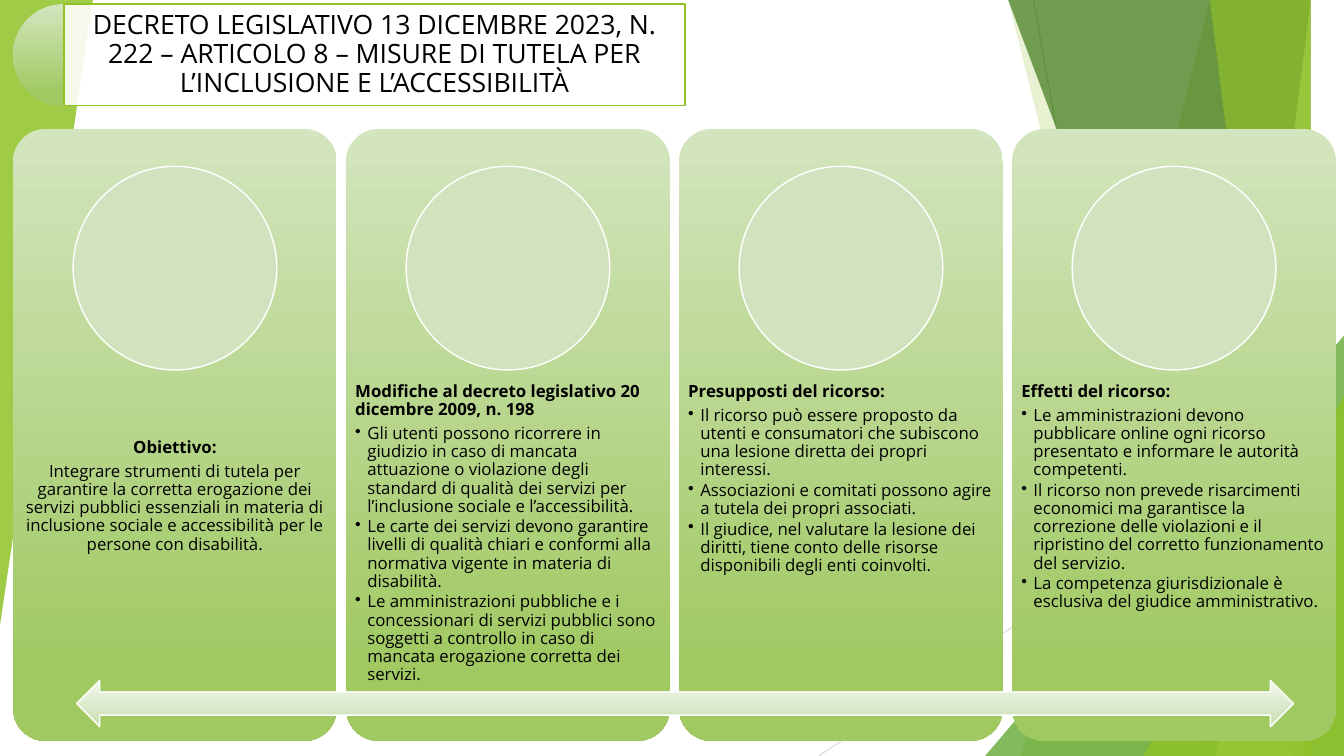
from lxml.etree import SubElement
from pptx import Presentation
from pptx.dml.color import RGBColor
from pptx.enum.shapes import MSO_CONNECTOR, MSO_SHAPE
from pptx.enum.text import MSO_ANCHOR, PP_ALIGN
from pptx.oxml.ns import qn
from pptx.util import Inches, Pt

WIDTH, HEIGHT = 13.33, 7.5
GREEN, WHITE = "90C226", "FFFFFF"
CARD_GRADIENT = ("D3E5BE", "A0C962")

prs = Presentation()
prs.slide_width, prs.slide_height = Inches(WIDTH), Inches(HEIGHT)
shapes = prs.slides.add_slide(prs.slide_layouts[6]).shapes


def paint(shape, colors, opacity=100, line=None):
    """Fill with one colour, or with a downward gradient of two."""
    shape.shadow.inherit = False
    if len(colors) == 1:
        shape.fill.solid()
        shape.fill.fore_color.rgb = RGBColor.from_string(colors[0])
        if opacity < 100:
            color = shape.fill._xPr.find(".//" + qn("a:srgbClr"))
            SubElement(color, qn("a:alpha"), val=str(opacity * 1000))
    else:
        shape.fill.gradient()
        shape.fill.gradient_angle = 270
        for stop, color, position in zip(shape.fill.gradient_stops, colors, (0, 0.88)):
            stop.color.rgb = RGBColor.from_string(color)
            stop.position = position
    if line:
        shape.line.color.rgb = RGBColor.from_string(line)
        shape.line.width = Pt(1)
    else:
        shape.line.fill.background()


def write(box, texts, size, inset, align, bullets=False, bold_first=False):
    frame = box.text_frame
    frame.word_wrap = True
    frame.margin_left = frame.margin_right = Inches(inset)
    frame.margin_top = frame.margin_bottom = Inches(inset)
    centred = align == PP_ALIGN.CENTER
    frame.vertical_anchor = MSO_ANCHOR.MIDDLE if centred else MSO_ANCHOR.TOP
    for i, text in enumerate(texts):
        paragraph = frame.paragraphs[0] if i == 0 else frame.add_paragraph()
        paragraph.text = text
        paragraph.alignment = align
        paragraph.line_spacing = 0.9
        bulleted = bullets and i > 0
        paragraph.space_after = Pt(size * (0.15 if bulleted else 0.35))
        if bulleted:
            paragraph.level = 1
            props = paragraph._p.get_or_add_pPr()
            props.set("marL", str(Inches(0.12)))
            props.set("indent", str(-Inches(0.12)))
            SubElement(props, qn("a:buChar"), char="•")
        paragraph.font.name = "Open Sans"
        paragraph.font.size = Pt(size)
        paragraph.font.bold = bold_first and i == 0
        paragraph.font.color.rgb = RGBColor.from_string("000000")


# Thin background lines
for start, end, color in [
    ((10.25, 0), (11.58, HEIGHT), "BFBFBF"),
    ((WIDTH, 4.03), (8.12, HEIGHT), "D9D9D9"),
]:
    ray = shapes.add_connector(MSO_CONNECTOR.STRAIGHT, *map(Inches, start + end))
    ray.line.color.rgb = RGBColor.from_string(color)
    ray.line.width = Pt(0.75)
    SubElement(ray._element.spPr, qn("a:effectLst"))

# Green facets on the right: bands give top and bottom x, wedges left and top
for kind, first, second, color, opacity in [
    ("band", 12.28, 10.04, GREEN, 30),
    ("band", 10.5, 11.83, GREEN, 20),
    ("wedge", 9.77, 3.33, "54A021", 72),
    ("band", 10.21, 12.91, "3F7819", 70),
    ("band", 13.03, 11.92, "C0E474", 70),
    ("band", 11.96, 13.18, GREEN, 65),
    ("wedge", 11.34, 3.93, GREEN, 80),
]:
    if kind == "band":
        outline = shapes.build_freeform(first, 0, scale=Inches(1))
        outline.add_line_segments([(WIDTH, 0), (WIDTH, HEIGHT), (second, HEIGHT)])
        facet = outline.convert_to_shape()
    else:
        facet = shapes.add_shape(
            MSO_SHAPE.ISOSCELES_TRIANGLE, Inches(first), Inches(second),
            Inches(WIDTH - first), Inches(HEIGHT - second))
        facet.adjustments[0] = 1
    paint(facet, [color], opacity)

# Green facet on the left
left_facet = shapes.add_shape(MSO_SHAPE.ISOSCELES_TRIANGLE, 0, 0, Inches(0.92), Inches(6.2))
left_facet.adjustments[0] = 1
left_facet.rotation = 180
paint(left_facet, [GREEN], 85)

# Title with half disc
LEFT, TITLE_TOP, TITLE_HEIGHT = 0.13, 0.04, 1.01
half_disc = shapes.add_shape(
    MSO_SHAPE.PIE, *map(Inches, (LEFT, TITLE_TOP, TITLE_HEIGHT, TITLE_HEIGHT)))
half_disc.adjustments[0], half_disc.adjustments[1] = 54, 162
paint(half_disc, CARD_GRADIENT)
title = shapes.add_shape(
    MSO_SHAPE.RECTANGLE,
    *map(Inches, (LEFT + TITLE_HEIGHT / 2, TITLE_TOP, 6.16, TITLE_HEIGHT)))
paint(title, [WHITE], 90, GREEN)
write(title, ["DECRETO LEGISLATIVO 13 DICEMBRE 2023, N. 222 – ARTICOLO 8 – "
              "MISURE DI TUTELA PER L’INCLUSIONE E L’ACCESSIBILITÀ"],
      19, 0.08, PP_ALIGN.CENTER)

# Four cards, each with a disc and text
topics = [
    ["Obiettivo:",
     "Integrare strumenti di tutela per garantire la corretta erogazione dei servizi pubblici "
     "essenziali in materia di inclusione sociale e accessibilità per le persone con disabilità."],
    ["Modifiche al decreto legislativo 20 dicembre 2009, n. 198",
     "Gli utenti possono ricorrere in giudizio in caso di mancata attuazione o violazione degli "
     "standard di qualità dei servizi per l’inclusione sociale e l’accessibilità.",
     "Le carte dei servizi devono garantire livelli di qualità chiari e conformi alla normativa "
     "vigente in materia di disabilità.",
     "Le amministrazioni pubbliche e i concessionari di servizi pubblici sono soggetti a "
     "controllo in caso di mancata erogazione corretta dei servizi."],
    ["Presupposti del ricorso:",
     "Il ricorso può essere proposto da utenti e consumatori che subiscono una lesione diretta "
     "dei propri interessi.",
     "Associazioni e comitati possono agire a tutela dei propri associati.",
     "Il giudice, nel valutare la lesione dei diritti, tiene conto delle risorse disponibili "
     "degli enti coinvolti."],
    ["Effetti del ricorso:",
     "Le amministrazioni devono pubblicare online ogni ricorso presentato e informare le "
     "autorità competenti.",
     "Il ricorso non prevede risarcimenti economici ma garantisce la correzione delle violazioni "
     "e il ripristino del corretto funzionamento del servizio.",
     "La competenza giurisdizionale è esclusiva del giudice amministrativo."],
]
CARD_WIDTH, CARD_PITCH, DISC = 3.21, 3.303, 2.02
for column, texts in enumerate(topics):
    x = LEFT + column * CARD_PITCH
    card = shapes.add_shape(
        MSO_SHAPE.ROUNDED_RECTANGLE, *map(Inches, (x, 1.28, CARD_WIDTH, 6.07)))
    card.adjustments[0] = 0.1
    paint(card, CARD_GRADIENT)
    has_list = column > 0
    body = shapes.add_textbox(*map(Inches, (x, 3.71, CARD_WIDTH, 2.43)))
    write(body, texts, 12, 0.09, PP_ALIGN.LEFT if has_list else PP_ALIGN.CENTER,
          bullets=has_list, bold_first=True)
    disc = shapes.add_shape(
        MSO_SHAPE.OVAL, *map(Inches, (x + (CARD_WIDTH - DISC) / 2, 1.65, DISC, DISC)))
    paint(disc, ["D1E3BE"], line=WHITE)

# Double arrow across the cards
arrow = shapes.add_shape(
    MSO_SHAPE.LEFT_RIGHT_ARROW, *map(Inches, (0.76, 6.75, 12.07, 0.46)))
paint(arrow, ("F2F7ED", "CDE1B7"), line=WHITE)

prs.save("out.pptx")
